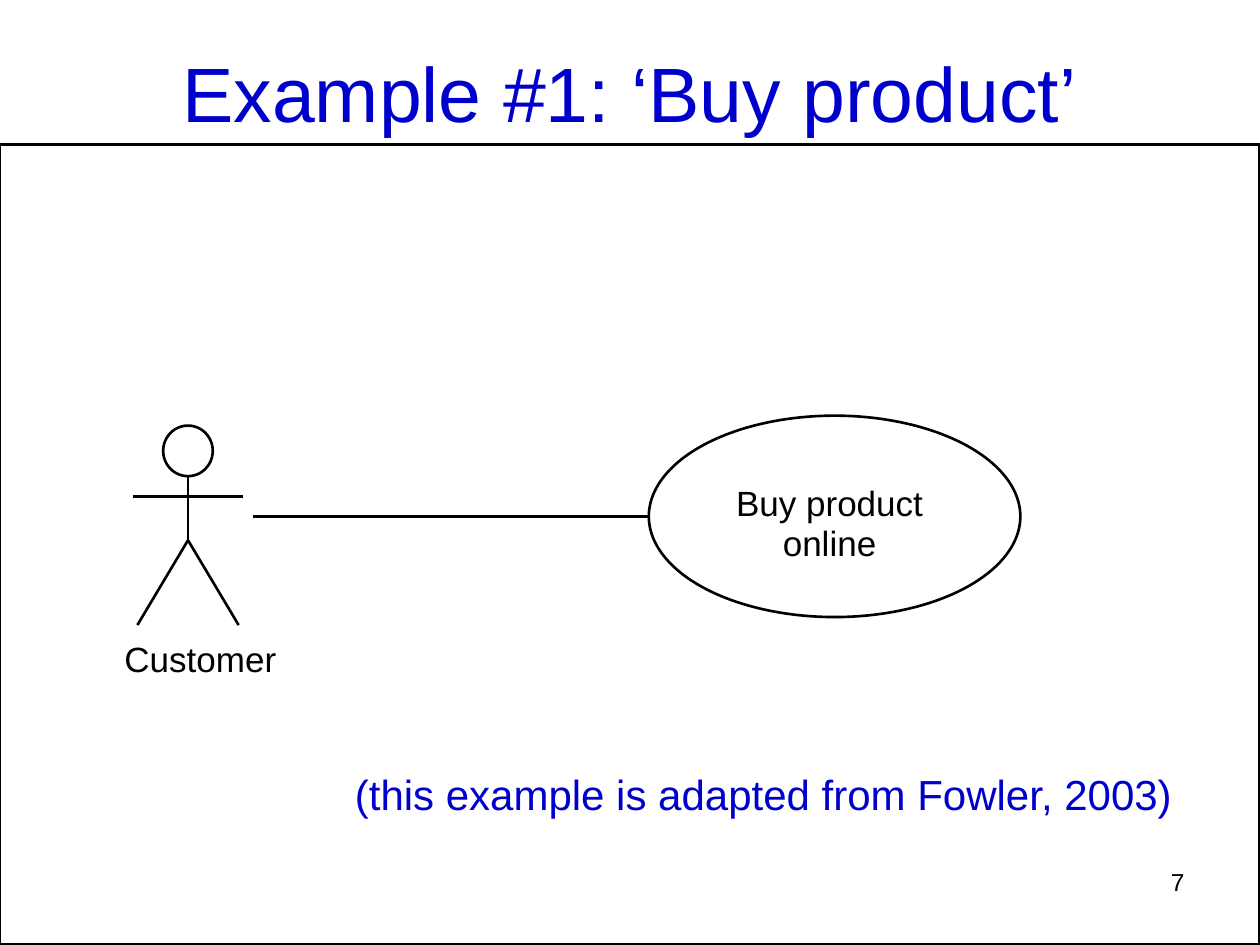
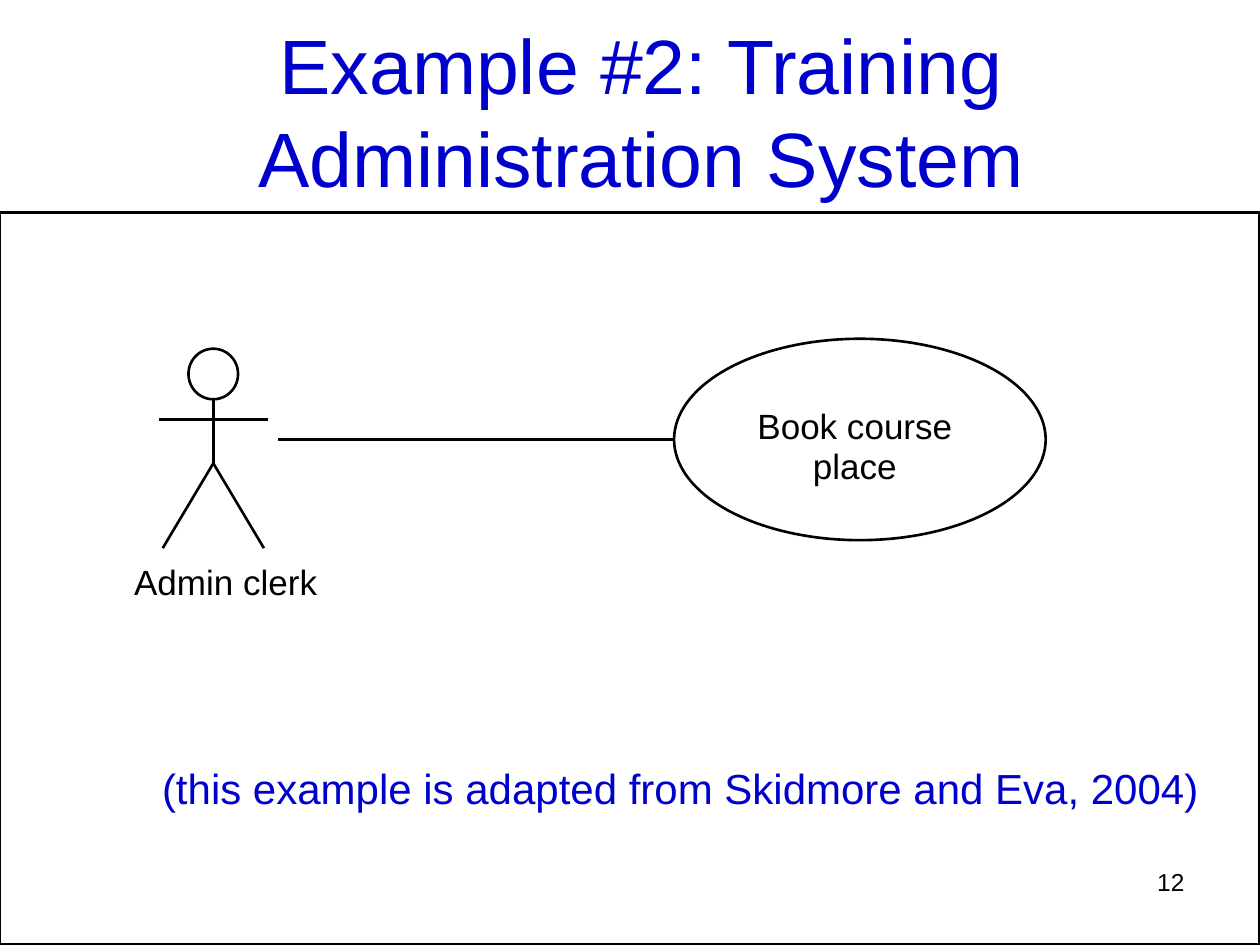
import collections
import pptx
import pptx.dml.color
import pptx.enum.shapes
import pptx.enum.text
import pptx.oxml.ns
import pptx.util
from lxml import etree

Cm, Pt = pptx.util.Cm, pptx.util.Pt
ALIGN, ANCHOR = pptx.enum.text.PP_ALIGN, pptx.enum.text.MSO_ANCHOR
SHAPE = pptx.enum.shapes.MSO_SHAPE

COLORS = {"ink": "000000", "accent": "0000CC", "paper": "FFFFFF"}
FONT = "Arial"
PAGE_WIDTH, PAGE_HEIGHT = 25.4, 19.05
TITLE_ONLY = 5

Box = collections.namedtuple("Box", "left top width height")
Label = collections.namedtuple("Label", "text width")

EXAMPLES = [
    dict(title="Example #1: ‘Buy product’", title_box=Box(0, 0.71, PAGE_WIDTH, 2.21),
         title_anchor=ANCHOR.BOTTOM, frame_top=2.92,
         diagram_box=Box(2.69, 8.38, 17.88, 5.3), actor=Label("Customer", 3.07),
         use_case=[Label("Buy product", 3.78), Label("online", 1.88)],
         credit="(this example is adapted from Fowler, 2003)",
         credit_box=Box(6.88, 15.37, 17.02, 1.27), number="7"),
    dict(title="Example #2: Training Administration System",
         title_box=Box(1.5, 0.53, 22.86, 3.38),
         title_anchor=ANCHOR.MIDDLE, frame_top=4.29,
         diagram_box=Box(3.2, 6.83, 17.88, 5.3), actor=Label("Admin clerk", 3.68),
         use_case=[Label("Book course", 3.94), Label("place", 1.7)],
         credit="(this example is adapted from Skidmore and Eva, 2004)",
         credit_box=Box(3.02, 15.24, 21.39, 1.27), number="12"),
]


def color(name):
    """Return the named palette colour."""
    return pptx.dml.color.RGBColor.from_string(COLORS[name])


def write(shape, text, size=20, ink="ink", align=ALIGN.CENTER, anchor=ANCHOR.TOP,
          wrap=True, inset=(0.25, 0.13)):
    """Put one formatted paragraph into a shape."""
    frame = shape.text_frame
    frame.auto_size = pptx.enum.text.MSO_AUTO_SIZE.NONE
    frame.word_wrap = wrap
    frame.vertical_anchor = anchor
    frame.margin_left = frame.margin_right = Cm(inset[0])
    frame.margin_top = frame.margin_bottom = Cm(inset[1])
    para = frame.paragraphs[0]
    para.alignment = align
    span = para.add_run()
    span.text = text
    span.font.name = FONT
    span.font.size = Pt(size)
    span.font.color.rgb = color(ink)


def add_text(page, box, text, **style):
    """Add a text box with formatted text."""
    write(page.shapes.add_textbox(*map(Cm, box)), text, **style)


def add_outline(page, kind, box, weight=1.5, fill=None):
    """Add an outlined preset shape, filled if a colour is named."""
    shape = page.shapes.add_shape(kind, *map(Cm, box))
    shape.shadow.inherit = False
    shape.line.color.rgb = color("ink")
    shape.line.width = Pt(weight)
    if fill:
        shape.fill.solid()
        shape.fill.fore_color.rgb = color(fill)
    else:
        shape.fill.background()


def add_line(page, box, start, end):
    """Draw a straight line between two points relative to the box."""
    points = [Cm(value) for x, y in (start, end) for value in (box.left + x, box.top + y)]
    line = page.shapes.add_connector(pptx.enum.shapes.MSO_CONNECTOR.STRAIGHT, *points)
    line.line.color.rgb = color("ink")
    line.line.width = Pt(1.5)
    properties = line._element.find(pptx.oxml.ns.qn("p:spPr"))
    etree.SubElement(properties, pptx.oxml.ns.qn("a:effectLst"))


def add_label(page, label, center, top):
    """Add a tight one-line label centred on a given position."""
    add_text(page, Box(center - label.width / 2, top, label.width, 0.84), label.text,
             wrap=False, inset=(0, 0))


def add_title(page, box, text, anchor):
    """Place and fill the title placeholder."""
    title = page.shapes.title
    title.left, title.top, title.width, title.height = map(Cm, box)
    write(title, text, size=44, ink="accent", anchor=anchor)


def add_actor(page, box, label):
    """Draw a stick figure with its role below."""
    middle, hip, foot, arm = 1.1, 2.51, 4.22, 1.63
    limbs = [((middle, hip), (middle, 1.17)), ((0, arm), (2 * middle, arm)),
             ((middle - 1.02, foot), (middle, hip)), ((middle, hip), (middle + 1.02, foot))]
    for start, end in limbs:
        add_line(page, box, start, end)
    add_outline(page, SHAPE.OVAL, Box(box.left + middle - 0.5, box.top + 0.2, 1, 1.02),
                fill="paper")
    add_label(page, label, box.left + 1.35, box.top + 4.47)


def add_use_case(page, box, lines):
    """Draw a use case ellipse with its name on separate lines."""
    add_outline(page, SHAPE.OVAL, box)
    for row, label in enumerate(lines):
        add_label(page, label, box.left + box.width / 2 - 0.1, box.top + 1.32 + 0.81 * row)


def add_diagram(page, box, actor, use_case):
    """Link an actor on the left to a use case on the right."""
    ellipse = Box(box.left + box.width - 7.49, box.top, 7.49, 4.06)
    add_use_case(page, ellipse, use_case)
    level = ellipse.height / 2
    add_line(page, box, (2.41, level), (ellipse.left - box.left, level))
    add_actor(page, box, actor)


def add_example(deck, title, title_box, title_anchor, frame_top, diagram_box, actor,
                use_case, credit, credit_box, number):
    """Build one example slide."""
    page = deck.slides.add_slide(deck.slide_layouts[TITLE_ONLY])
    add_title(page, title_box, title, title_anchor)
    add_outline(page, SHAPE.RECTANGLE, Box(0, frame_top, PAGE_WIDTH, PAGE_HEIGHT - frame_top),
                weight=1.75, fill="paper")
    add_diagram(page, diagram_box, actor, use_case)
    add_text(page, credit_box, credit, size=24, ink="accent", anchor=ANCHOR.MIDDLE, wrap=False)
    add_text(page, Box(18.21, 17.35, 5.92, 1.32), number, size=14, align=ALIGN.RIGHT)


def main():
    """Build and save the deck."""
    deck = pptx.Presentation()
    deck.slide_width, deck.slide_height = Cm(PAGE_WIDTH), Cm(PAGE_HEIGHT)
    for example in EXAMPLES:
        add_example(deck, **example)
    deck.save("out.pptx")


if __name__ == "__main__":
    main()
